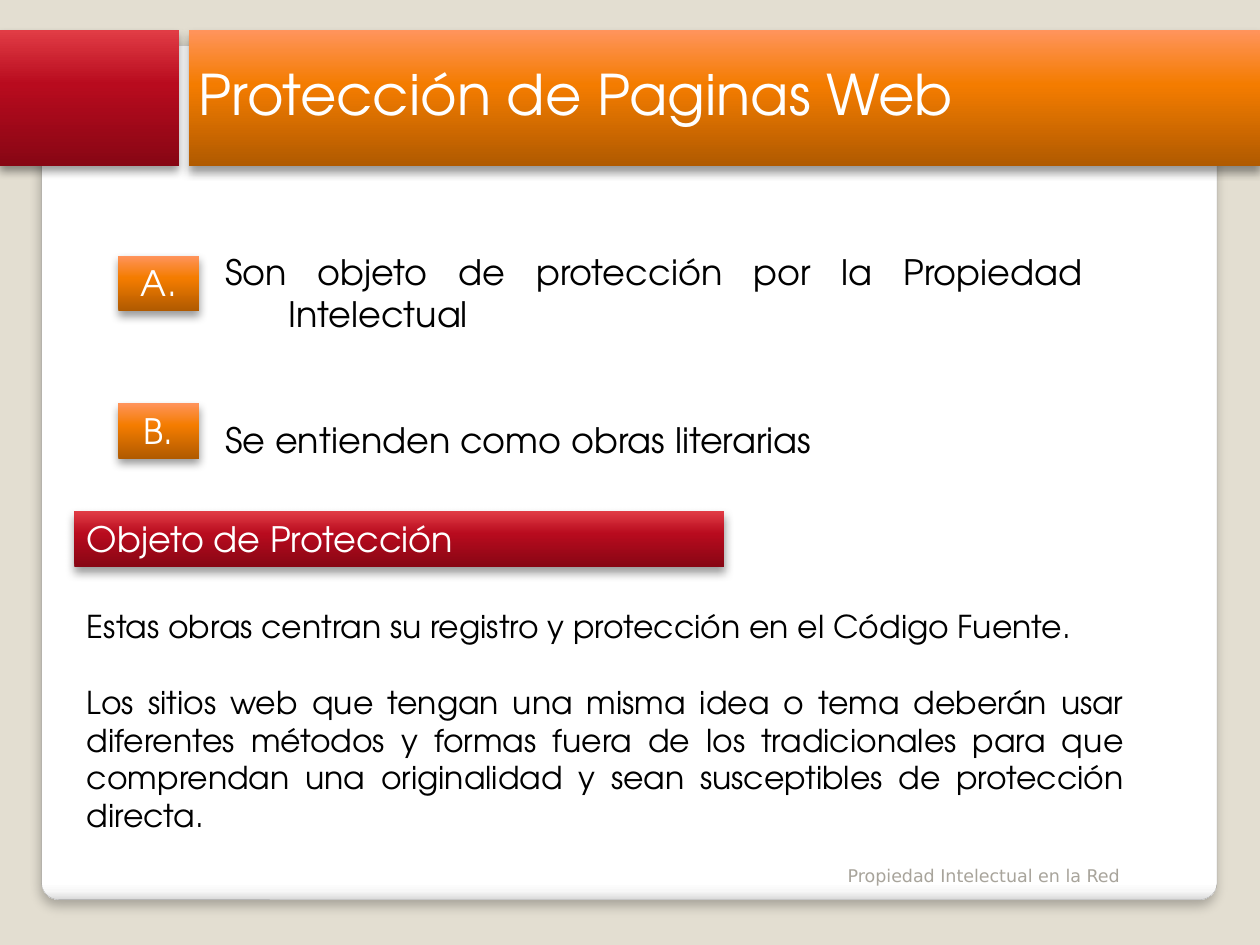
import pptx
import pptx.util
import pptx.dml.color
import pptx.enum.shapes
import pptx.enum.text
import pptx.oxml
import pptx.oxml.ns

Inches = pptx.util.Inches
Pt = pptx.util.Pt
RGBColor = pptx.dml.color.RGBColor
Align = pptx.enum.text.PP_ALIGN
Anchor = pptx.enum.text.MSO_ANCHOR
Shape = pptx.enum.shapes.MSO_SHAPE
qn = pptx.oxml.ns.qn

COLORS = {"background": "E3DED1", "edge": "A4A4A4", "shadow": "000000",
          "text": "000000", "light": "FFFFFF", "footer": "A8A49B"}
# Each gradient: angle in degrees, then (position, colour) stops
GRADIENTS = {
    "card": (90, [(0, "FFFFFF"), (98, "FFFFFF"), (99, "F7F7F7"), (100, "DADADA")]),
    "orange": (270, [(0, "B05A00"), (60, "F47C00"), (100, "FF945C")]),
    "red": (270, [(0, "870614"), (60, "B80B1E"), (100, "E13C45")]),
}
# Opacity in percent, blur and distance in points
BAR_SHADOW = (40, 5.2, 3)
CARD_SHADOW = (25, 6, 4)
TITLE_SHADOW = (45, 4, 3)
HEADING_FONT = "TeX Gyre Adventor"
FOOTER_FONT = "DejaVu Sans"


class SlideBuilder:
    def __init__(self, slide):
        self.slide = slide
        self.namespace = pptx.oxml.ns.nsdecls("a")

    def background(self, color):
        fill = self.slide.background.fill
        fill.solid()
        fill.fore_color.rgb = RGBColor.from_string(COLORS[color])

    def shadow(self, opacity, blur, distance, angle=90):
        return pptx.oxml.parse_xml(
            f'<a:outerShdw {self.namespace} blurRad="{Pt(blur)}" dist="{Pt(distance)}" '
            f'dir="{angle * 60000}" algn="t" rotWithShape="0"><a:srgbClr val="{COLORS["shadow"]}">'
            f'<a:alpha val="{opacity * 1000}"/></a:srgbClr></a:outerShdw>')

    def gradient(self, name):
        angle, stops = GRADIENTS[name]
        stop_xml = "".join(f'<a:gs pos="{position * 1000}"><a:srgbClr val="{color}"/></a:gs>'
                           for position, color in stops)
        return pptx.oxml.parse_xml(
            f'<a:gradFill {self.namespace} rotWithShape="1"><a:gsLst>{stop_xml}</a:gsLst>'
            f'<a:lin ang="{angle * 60000}" scaled="0"/></a:gradFill>')

    def panel(self, box, gradient, shadow=BAR_SHADOW, kind=Shape.RECTANGLE):
        shape = self.slide.shapes.add_shape(kind, *map(Inches, box))
        shape.fill.gradient()
        shape.line.fill.background()
        shape.shadow.inherit = False
        properties = shape._element.spPr
        properties.replace(properties.find(qn("a:gradFill")), self.gradient(gradient))
        properties.find(qn("a:effectLst")).append(self.shadow(*shadow))
        return shape

    def fill_text(self, shape, texts, size, color="text", font=HEADING_FONT,
                  anchor=Anchor.TOP, formats=({},)):
        frame = shape.text_frame
        frame.word_wrap = True
        frame.vertical_anchor = anchor
        for index, text in enumerate(texts):
            paragraph = frame.paragraphs[0] if index == 0 else frame.add_paragraph()
            paragraph.alignment = Align.LEFT
            for name, value in formats[min(index, len(formats) - 1)].items():
                setattr(paragraph, name, value)
            run = paragraph.add_run()
            run.text = text
            for name, value in {"size": Pt(size), "name": font}.items():
                setattr(run.font, name, value)
            run.font.color.rgb = RGBColor.from_string(COLORS[color])
        return shape

    def text(self, box, texts, size, **style):
        shape = self.slide.shapes.add_textbox(*map(Inches, box))
        return self.fill_text(shape, texts, size, **style)

    def hang(self, shape, indent):
        for paragraph in shape.text_frame.paragraphs:
            properties = paragraph._p.get_or_add_pPr()
            properties.set("marL", str(Inches(indent)))
            properties.set("indent", str(-Inches(indent)))

    def text_shadow(self, shape, shadow, angle):
        properties = shape.text_frame.paragraphs[0].runs[0]._r.get_or_add_rPr()
        effects = pptx.oxml.parse_xml(f"<a:effectLst {self.namespace}/>")
        effects.append(self.shadow(*shadow, angle=angle))
        properties.find(qn("a:solidFill")).addnext(effects)


presentation = pptx.Presentation()
presentation.slide_width = Inches(10)
presentation.slide_height = Inches(7.5)
builder = SlideBuilder(presentation.slides.add_slide(presentation.slide_layouts[6]))

# Background card
builder.background("background")
card = builder.panel((0.33, 0.36, 9.33, 6.78), "card", CARD_SHADOW, Shape.ROUNDED_RECTANGLE)
card.adjustments[0] = 0.02
card.line.color.rgb = RGBColor.from_string(COLORS["edge"])
card.line.width = Pt(0.16)

# Title band
builder.panel((1.5, 0.24, 8.5, 1.08), "orange")
builder.panel((0, 0.24, 1.42, 1.08), "red")
title = builder.text((1.48, 0.31, 8.33, 0.86), ["Protección de Paginas Web"], 32,
                     color="light", anchor=Anchor.MIDDLE)
builder.text_shadow(title, TITLE_SHADOW, 45)

# Lettered statements
statements = builder.text(
    (1.69, 1.94, 7, 1.9),
    ["Son objeto de protección por la Propiedad Intelectual",
     "Se entienden como obras literarias"], 20,
    formats=({"alignment": Align.JUSTIFY},
             {"alignment": Align.JUSTIFY, "space_before": Pt(48)}))
builder.hang(statements, 0.5)
for letter, top in (("A.", 2.03), ("B.", 3.2)):
    label = builder.panel((0.94, top, 0.64, 0.44), "orange")
    builder.fill_text(label, [letter], 20, color="light",
                      formats=({"alignment": Align.CENTER},))

# Object of protection
heading = builder.panel((0.59, 4.06, 5.16, 0.44), "red")
builder.fill_text(heading, ["Objeto de Protección"], 20, color="light")
builder.text(
    (0.59, 4.77, 8.43, 2.22),
    ["Estas obras centran su registro y protección en el Código Fuente.",
     "Los sitios web que tengan una misma idea o tema deberán usar diferentes métodos y "
     "formas fuera de los tradicionales para que comprendan una originalidad y sean "
     "susceptibles de protección directa."], 18,
    formats=({}, {"alignment": Align.JUSTIFY, "space_before": Pt(21.6)}))

# Footer
builder.text((6.63, 6.68, 2.5, 0.4), ["Propiedad Intelectual en la Red"], 10,
             color="footer", font=FOOTER_FONT, anchor=Anchor.BOTTOM)

presentation.save("out.pptx")
